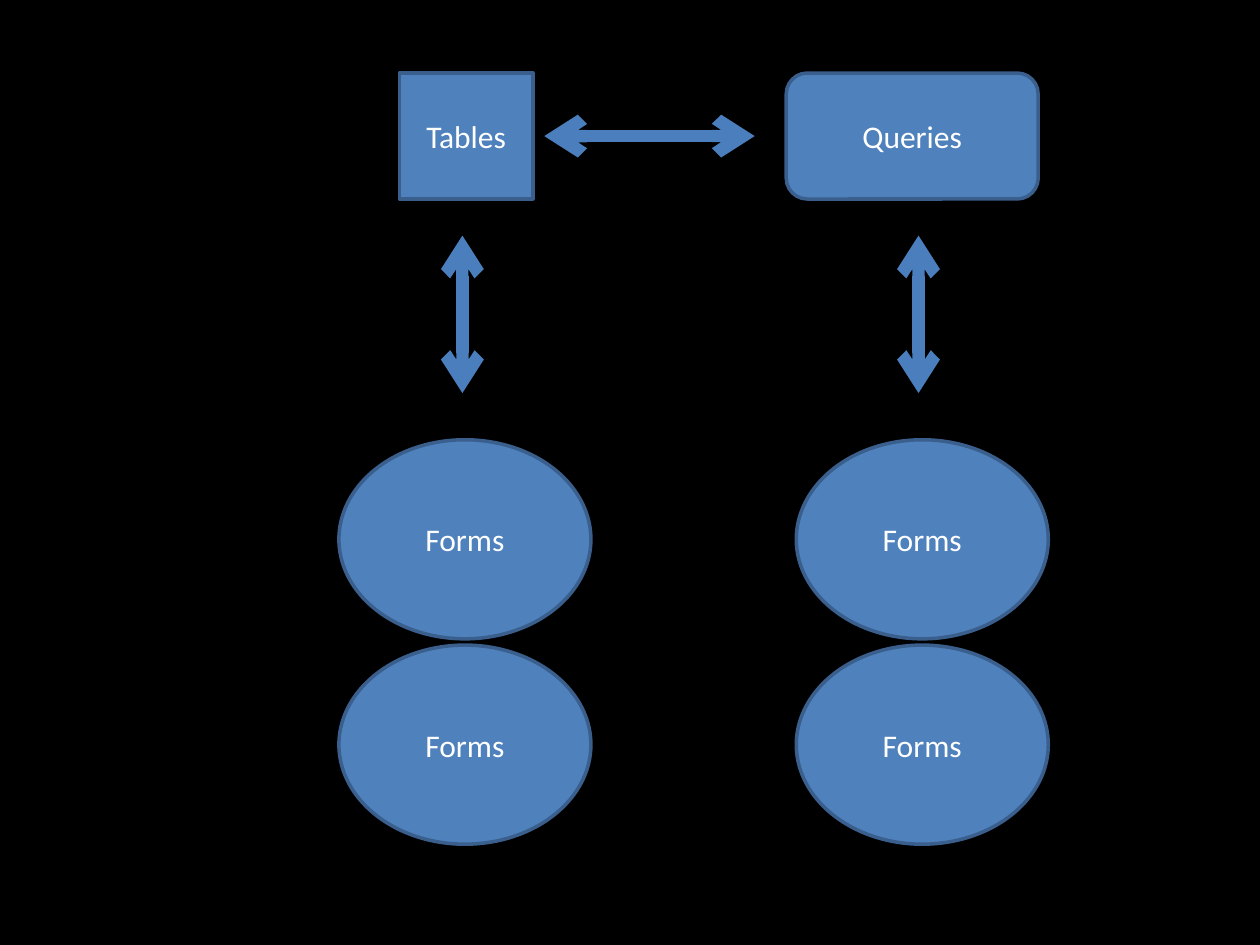
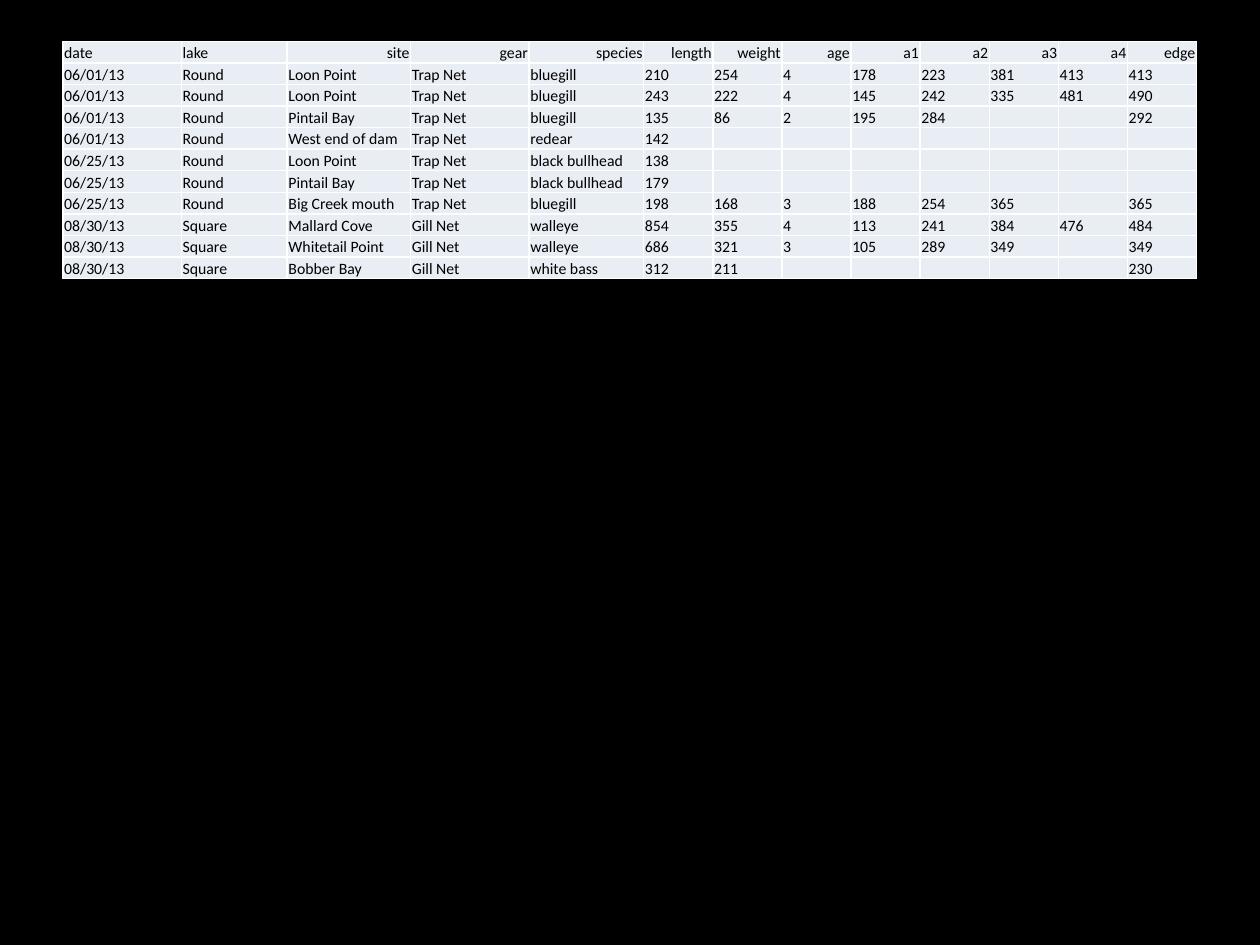
from lxml import etree
from pptx import Presentation
from pptx.dml.color import RGBColor
from pptx.enum.shapes import MSO_CONNECTOR, MSO_SHAPE
from pptx.enum.text import MSO_ANCHOR, PP_ALIGN
from pptx.oxml.ns import qn
from pptx.util import Pt

RECTANGLE = MSO_SHAPE.RECTANGLE
ROUNDED = MSO_SHAPE.ROUNDED_RECTANGLE
OVAL = MSO_SHAPE.OVAL
STRAIGHT = MSO_CONNECTOR.STRAIGHT
MIDDLE, BOTTOM = MSO_ANCHOR.MIDDLE, MSO_ANCHOR.BOTTOM
LEFT, CENTER, RIGHT = PP_ALIGN.LEFT, PP_ALIGN.CENTER, PP_ALIGN.RIGHT

EMU_PER_PX = 9144  # 100 px to the inch
BLANK_LAYOUT = 6

HEADINGS = ["date", "lake", "site", "gear", "species", "length", "weight",
            "age", "a1", "a2", "a3", "a4", "edge"]
CATCHES = [
    ["06/01/13", "Round", "Loon Point", "Trap Net", "bluegill",
     "210", "254", "4", "178", "223", "381", "413", "413"],
    ["06/01/13", "Round", "Loon Point", "Trap Net", "bluegill",
     "243", "222", "4", "145", "242", "335", "481", "490"],
    ["06/01/13", "Round", "Pintail Bay", "Trap Net", "bluegill",
     "135", "86", "2", "195", "284", "", "", "292"],
    ["06/01/13", "Round", "West end of dam", "Trap Net", "redear", "142"],
    ["06/25/13", "Round", "Loon Point", "Trap Net", "black bullhead", "138"],
    ["06/25/13", "Round", "Pintail Bay", "Trap Net", "black bullhead", "179"],
    ["06/25/13", "Round", "Big Creek mouth", "Trap Net", "bluegill",
     "198", "168", "3", "188", "254", "365", "", "365"],
    ["08/30/13", "Square", "Mallard Cove", "Gill Net", "walleye",
     "854", "355", "4", "113", "241", "384", "476", "484"],
    ["08/30/13", "Square", "Whitetail Point", "Gill Net", "walleye",
     "686", "321", "3", "105", "289", "349", "", "349"],
    ["08/30/13", "Square", "Bobber Bay", "Gill Net", "white bass",
     "312", "211", "", "", "", "", "", "230"],
]
TEXT_COLUMN_WIDTHS = [94, 84, 98, 94, 91]


def px(length):
    return round(length * EMU_PER_PX)


def color(hex_string):
    return RGBColor.from_string(hex_string)


def set_all(target, values):
    for name, value in values.items():
        setattr(target, name, value)


class Painter:
    font = "Calibri"
    background = "000000"
    box_fill, box_line, box_text = "4F81BD", "3A5F8C", "FFFFFF"
    arrow_color = "4B7EBC"
    cell_fill, cell_border, cell_text = "E9EDF4", "FFFFFF", "000000"

    def __init__(self):
        self.deck = Presentation()
        set_all(self.deck, {"slide_width": px(1000), "slide_height": px(750)})
        fill = self.deck.slide_master.background.fill
        fill.solid()
        fill.fore_color.rgb = color(self.background)

    def new_page(self):
        layout = self.deck.slide_layouts[BLANK_LAYOUT]
        self.page = self.deck.slides.add_slide(layout)

    def label(self, para, text, size, text_color, align):
        para.alignment = align
        if not text:  # keeps an empty row as low as a filled one
            etree.SubElement(para._p, qn("a:endParaRPr"), sz=str(size * 100))
            return
        span = para.add_run()
        span.text = text
        set_all(span.font, {"name": self.font, "size": Pt(size)})
        span.font.color.rgb = color(text_color)

    def box(self, kind, text, left, top, width, height):
        box = self.page.shapes.add_shape(
            kind, px(left), px(top), px(width), px(height))
        box.shadow.inherit = False
        box.fill.solid()
        box.fill.fore_color.rgb = color(self.box_fill)
        box.line.color.rgb = color(self.box_line)
        box.line.width = Pt(2)
        box.text_frame.vertical_anchor = MIDDLE
        self.label(box.text_frame.paragraphs[0], text, 18, self.box_text, CENTER)

    def arrow(self, x1, y1, x2, y2):
        arrow = self.page.shapes.add_connector(
            STRAIGHT, px(x1), px(y1), px(x2), px(y2))
        arrow.line.color.rgb = color(self.arrow_color)
        arrow.line.width = Pt(7)
        properties = arrow._element.spPr
        line = properties.find(qn("a:ln"))
        for end in ("a:headEnd", "a:tailEnd"):
            etree.SubElement(line, qn(end), type="arrow")
        etree.SubElement(properties, qn("a:effectLst"))

    def cell(self, cell, text, align):
        set_all(cell, {"margin_left": px(1), "margin_right": px(1),
                       "margin_top": px(1), "margin_bottom": 0,
                       "vertical_anchor": BOTTOM})
        properties = cell._tc.get_or_add_tcPr()
        for side in ("a:lnL", "a:lnR", "a:lnT", "a:lnB"):
            border = etree.SubElement(properties, qn(side), w=str(int(Pt(1))))
            paint = etree.SubElement(border, qn("a:solidFill"))
            etree.SubElement(paint, qn("a:srgbClr"), val=self.cell_border)
        cell.fill.solid()
        cell.fill.fore_color.rgb = color(self.cell_fill)
        self.label(cell.text_frame.paragraphs[0], text, 9, self.cell_text, align)

    def table(self, rows, widths, left, top, height):
        table = self.page.shapes.add_table(
            len(rows), len(widths), px(left), px(top),
            px(sum(widths)), px(height)).table
        set_all(table, {"first_row": False, "horz_banding": False})
        for column, width in zip(table.columns, widths):
            column.width = px(width)
        for row_index, values in enumerate(rows):
            table.rows[row_index].height = px(height / len(rows))
            padded = values + [""] * (len(widths) - len(values))
            for column_index, text in enumerate(padded):
                is_right = row_index == 0 and column_index > 1
                self.cell(table.cell(row_index, column_index), text,
                          RIGHT if is_right else LEFT)


def draw_database_parts(painter):
    painter.new_page()
    # Data sources
    painter.box(RECTANGLE, "Tables", 317, 58, 106, 100)
    painter.box(ROUNDED, "Queries", 624, 58, 200, 100)
    painter.arrow(432, 108, 599, 108)
    # Forms under each source
    for forms_left, arrow_x in ((269, 367), (632, 729)):
        painter.arrow(arrow_x, 187, arrow_x, 312)
        for forms_top in (349, 512):
            painter.box(OVAL, "Forms", forms_left, forms_top, 200, 158)


def draw_catch_table(painter):
    painter.new_page()
    # Number columns share the width left by the text columns
    number_count = len(HEADINGS) - len(TEXT_COLUMN_WIDTHS)
    number_width = (900 - sum(TEXT_COLUMN_WIDTHS)) / number_count
    widths = TEXT_COLUMN_WIDTHS + [number_width] * number_count
    painter.table([HEADINGS] + CATCHES, widths, 50, 33, 188)


def main():
    painter = Painter()
    draw_database_parts(painter)
    draw_catch_table(painter)
    painter.deck.save("out.pptx")


if __name__ == "__main__":
    main()
